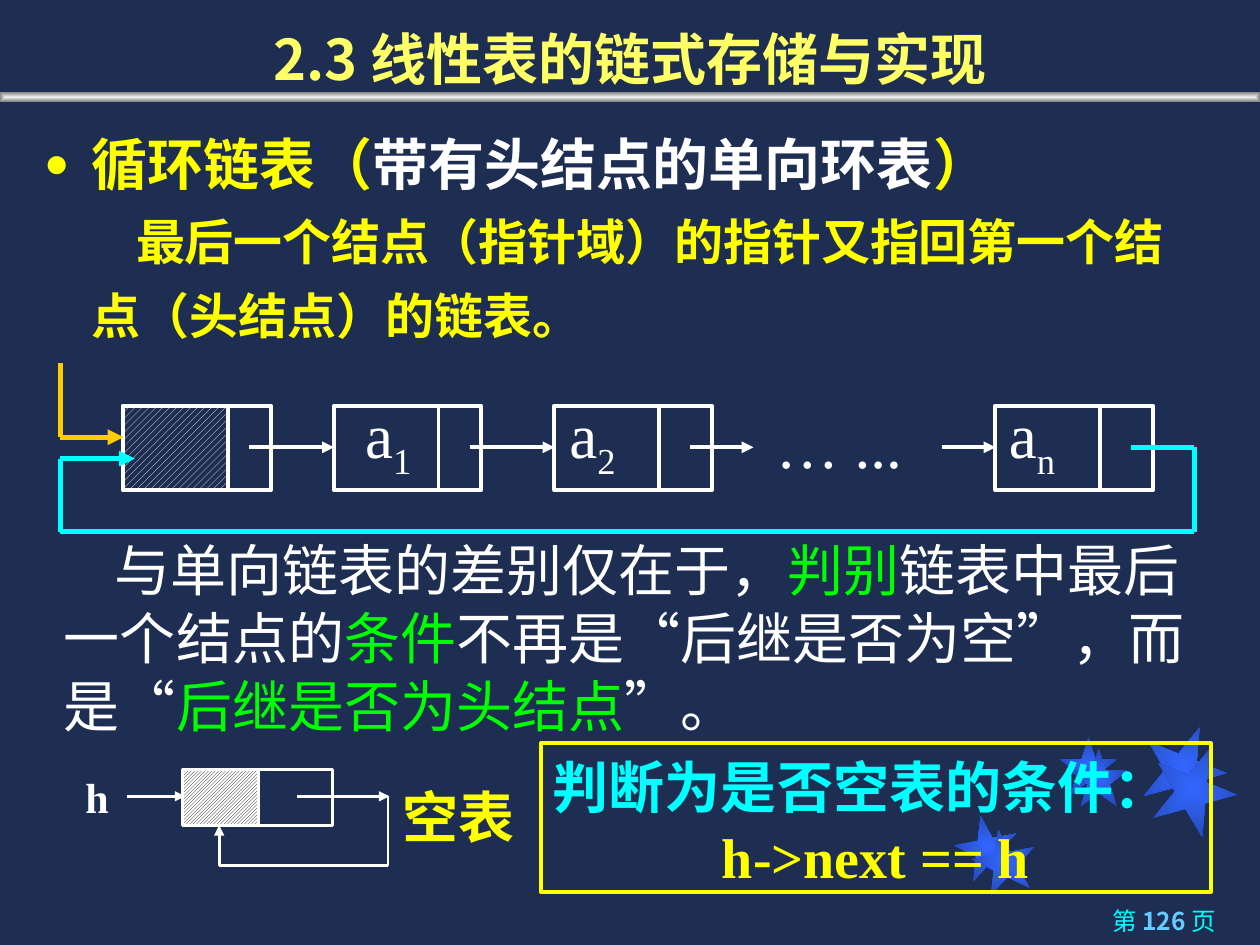
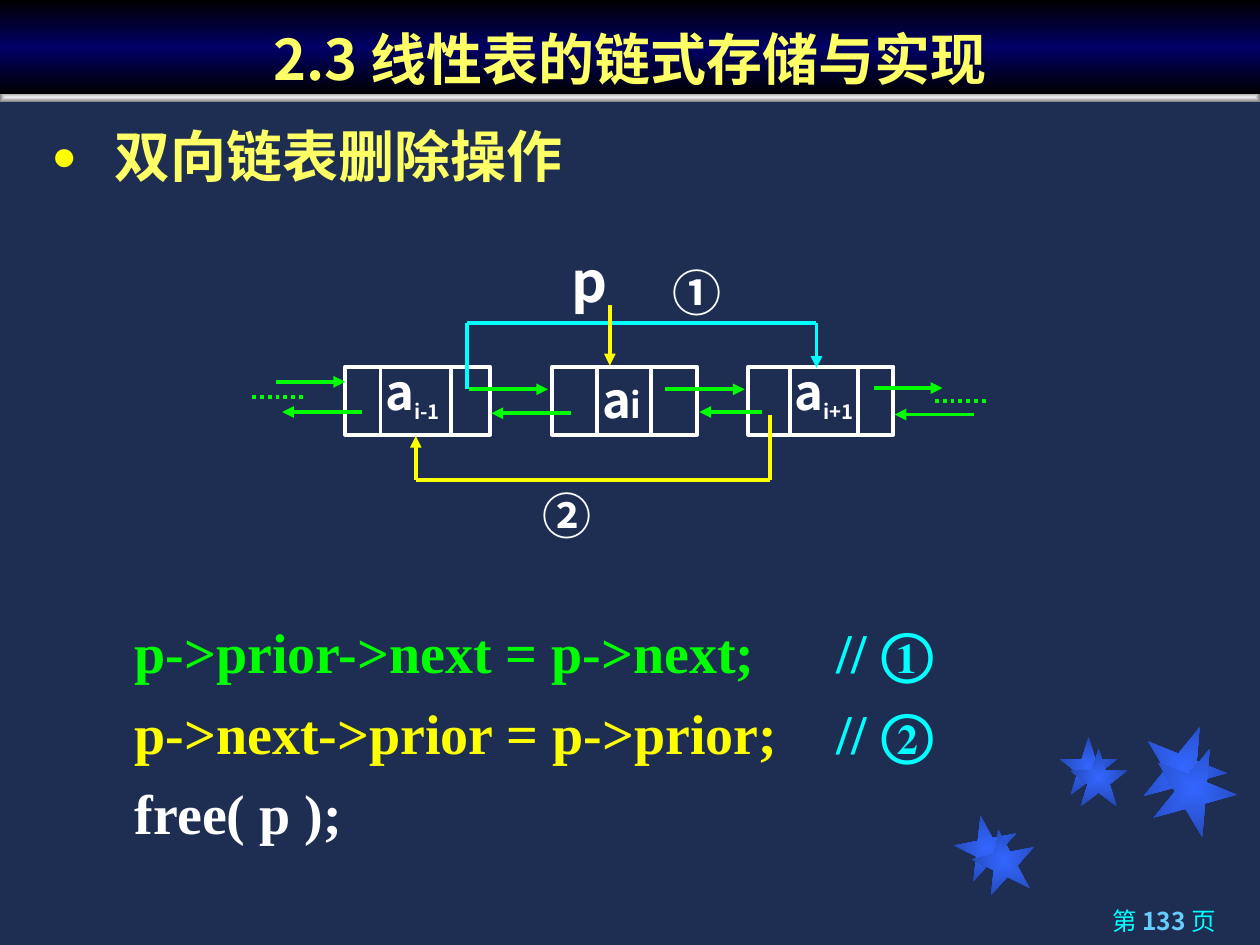
from lxml import etree
from pptx import Presentation
from pptx.dml.color import RGBColor
from pptx.enum.dml import MSO_LINE, MSO_PATTERN
from pptx.enum.shapes import MSO_CONNECTOR, MSO_SHAPE
from pptx.enum.text import MSO_ANCHOR, MSO_AUTO_SIZE, PP_ALIGN
from pptx.oxml import parse_xml
from pptx.oxml.ns import nsdecls, qn
from pptx.util import Inches, Pt

NAVY = RGBColor(0x1E, 0x2E, 0x53)
WHITE = RGBColor(0xFF, 0xFF, 0xFF)
BLACK = RGBColor(0, 0, 0)
YELLOW = RGBColor(0xFF, 0xFF, 0)
CREAM = RGBColor(0xFF, 0xFF, 0x66)
GOLD = RGBColor(0xFF, 0xCC, 0)
CYAN = RGBColor(0, 0xFF, 0xFF)
GREEN = RGBColor(0, 0xFF, 0)
SKY = RGBColor(0x66, 0xCC, 0xFF)
STAR = [(0, RGBColor(0x33, 0x66, 0xFF)), (100, RGBColor(0x24, 0x49, 0xB6))]
STEEL = [(0, RGBColor(0xED, 0xED, 0xED)), (100, RGBColor(0x80, 0x80, 0x80))]
NIGHT = [(0, BLACK), (50, RGBColor(0, 0, 0x66)), (100, BLACK)]

SANS, SERIF, ARIAL = "Noto Sans CJK SC", "Times New Roman", "Arial"
RECT, STAR5 = MSO_SHAPE.RECTANGLE, MSO_SHAPE.STAR_5_POINT
STRAIGHT = MSO_CONNECTOR.STRAIGHT
LEFT, CENTER, RIGHT = PP_ALIGN.LEFT, PP_ALIGN.CENTER, PP_ALIGN.RIGHT
TOP, MIDDLE, BOTTOM = MSO_ANCHOR.TOP, MSO_ANCHOR.MIDDLE, MSO_ANCHOR.BOTTOM
FIXED = MSO_AUTO_SIZE.NONE
WIDE, LIGHT = MSO_PATTERN.WIDE_UPWARD_DIAGONAL, MSO_PATTERN.LIGHT_UPWARD_DIAGONAL
DOTS = MSO_LINE.ROUND_DOT
TITLE = "2.3 线性表的链式存储与实现"


def place(shape, x, y, w, h):
    shape.left, shape.top = Inches(x), Inches(y)
    shape.width, shape.height = Inches(w), Inches(h)


def blend(shape, stops, radial=True):
    """Fill with a gradient, from the centre or from top to bottom."""
    marks = "".join(f'<a:gs pos="{pos * 1000}"><a:srgbClr val="{color}"/></a:gs>'
                    for pos, color in stops)
    way = ('<a:path path="shape"><a:fillToRect l="50000" t="50000" r="50000" '
           'b="50000"/></a:path>' if radial else '<a:lin ang="5400000"/>')
    shape.fill.background()
    props = shape.element.spPr
    props.replace(props.find(qn("a:noFill")), parse_xml(
        f'<a:gradFill {nsdecls("a")}><a:gsLst>{marks}</a:gsLst>{way}</a:gradFill>'))


def write(para, spans, size, font, color=WHITE, bold=False, align=LEFT, lead=None):
    """Fill a paragraph; a span is a text, or a text with a dict of changes."""
    para.alignment = align
    para.line_spacing = Pt(lead or round(size * 1.21))
    para.space_before = Pt(0)
    base = para.font
    base.size, base.name, base.bold = Pt(size), font, bold
    base.color.rgb = color
    for span in spans:
        words, change = (span, {}) if isinstance(span, str) else span
        run = para.add_run()
        run.text = words
        props = run.font
        if "color" in change:
            props.color.rgb = change["color"]
        if "bold" in change:
            props.bold = change["bold"]
        if "size" in change:
            props.size = Pt(change["size"])
        if "base" in change:
            run._r.get_or_add_rPr().set("baseline", str(change["base"] * 1000))
        east = etree.SubElement(run._r.get_or_add_rPr(), qn("a:ea"))
        east.set("typeface", SANS)


def hang(para, left, first, mark=False):
    """Set the indents and the bullet of a paragraph."""
    props = para._p.get_or_add_pPr()
    props.set("marL", str(Inches(left)))
    props.set("indent", str(Inches(first)))
    if mark:
        tint = etree.SubElement(etree.SubElement(props, qn("a:buClr")), qn("a:srgbClr"))
        tint.set("val", str(YELLOW))
        etree.SubElement(props, qn("a:buSzPct")).set("val", "75000")
        etree.SubElement(props, qn("a:buChar")).set("char", "●")
    else:
        etree.SubElement(props, qn("a:buNone"))


def tab(para, at):
    stops = etree.SubElement(para._p.get_or_add_pPr(), qn("a:tabLst"))
    stop = etree.SubElement(stops, qn("a:tab"))
    stop.set("pos", str(Inches(at)))
    stop.set("algn", "l")


def setup(frame, anchor=TOP, wrap=True):
    frame.auto_size = FIXED
    frame.word_wrap = wrap
    frame.vertical_anchor = anchor
    return frame


def text(slide, x, y, w, h, spans, size, font, anchor=TOP, wrap=True, **style):
    area = slide.shapes.add_textbox(Inches(x), Inches(y), Inches(w), Inches(h))
    frame = setup(area.text_frame, anchor, wrap)
    write(frame.paragraphs[0], spans, size, font, **style)
    return frame


def box(slide, x, y, w, h, color=WHITE, width=2.25, hatch=None, fore=WHITE, back=NAVY):
    shape = slide.shapes.add_shape(RECT, Inches(x), Inches(y), Inches(w), Inches(h))
    shape.shadow.inherit = False
    shape.line.color.rgb = color
    shape.line.width = Pt(width)
    if hatch is None:
        shape.fill.background()
    else:
        shape.fill.patterned()
        shape.fill.pattern = hatch
        shape.fill.fore_color.rgb = fore
        shape.fill.back_color.rgb = back
    return shape


def route(slide, points, color=WHITE, width=2.25, arrow=True, dash=None):
    """Join the points by straight lines, with an arrowhead on the last."""
    for (x1, y1), (x2, y2) in zip(points, points[1:]):
        link = slide.shapes.add_connector(
            STRAIGHT, Inches(x1), Inches(y1), Inches(x2), Inches(y2))
        link.line.color.rgb = color
        link.line.width = Pt(width)
        if dash:
            link.line.dash_style = dash
        etree.SubElement(link.element.spPr, qn("a:effectLst"))
    if arrow:
        head = etree.SubElement(link.element.spPr.find(qn("a:ln")), qn("a:tailEnd"))
        head.set("type", "triangle")


def node(slide, x, y, w, h, cuts):
    """Draw a list node, divided at the given offsets."""
    box(slide, x, y, w, h)
    for cut in cuts:
        route(slide, [(x + cut, y), (x + cut, y + h)], arrow=False)


def theme(prs, slide):
    """Give the master its background, stars and band."""
    master = prs.slide_master
    master.background.fill.solid()
    master.background.fill.fore_color.rgb = NAVY
    parts = [(STAR5, 7.58, 6.47, 0.5, 0.5, 349), (STAR5, 8.41, 5.85, 0.46, 0.46, 0),
             (STAR5, 9.06, 5.75, 0.67, 0.67, 22), (STAR5, 7.72, 6.58, 0.5, 0.5, 349),
             (STAR5, 8.49, 5.94, 0.46, 0.46, 0), (STAR5, 9.14, 5.92, 0.67, 0.67, 22),
             (RECT, 0, 0.73, 10, 0.08, 0)]
    for num, (kind, x, y, w, h, turn) in enumerate(parts):
        shape = slide.shapes.add_shape(kind, Inches(x), Inches(y), Inches(w), Inches(h))
        shape.rotation = turn
        shape.shadow.inherit = False
        shape.line.fill.background()
        blend(shape, STAR if kind == STAR5 else STEEL)
        shape.element.nvSpPr.cNvPr.set("id", str(100 + num))
        master.shapes.element.insert(2 + num, shape.element)


def start(prs, page):
    """Add a slide with its title and page number."""
    slide = prs.slides.add_slide(prs.slide_layouts[1])
    title = slide.shapes.title
    place(title, 0, 0, 10, 0.75)
    frame = setup(title.text_frame, BOTTOM)
    frame.margin_bottom = Inches(0.02)
    write(frame.paragraphs[0], [TITLE], 32, SANS, CREAM, True, CENTER)
    text(slide, 7.12, 7.14, 2.63, 0.36,
         ["第 ", (f"{page} ", {"color": SKY, "bold": True}), "页"],
         14, SANS, color=CYAN, align=RIGHT)
    return slide


def body(slide, x, y, w, h):
    holder = slide.placeholders[1]
    place(holder, x, y, w, h)
    return setup(holder.text_frame)


def chain(slide):
    """Draw the circular list with its head node."""
    top, tall, mid = 3.22, 0.67, 3.55
    for x, w in [(0.98, 1.17), (2.65, 1.17), (4.4, 1.25), (7.9, 1.25)]:
        node(slide, x, top, w, tall, [0.83])
    box(slide, 0.98, top, 0.83, tall, hatch=WIDE)
    for x, name, sub in [(2.8, "a", "1"), (4.42, "a", "2"),
                         (6.06, "… ...", ""), (7.91, "a", "n")]:
        spans = [name, (sub, {"base": -25})] if sub else [name]
        text(slide, x, 3.16, 1.2, 0.7, spans, 36, SERIF, wrap=False)
    for x1, x2 in [(1.98, 2.65), (3.73, 4.4), (5.48, 5.98), (7.48, 7.9)]:
        route(slide, [(x1, mid), (x2, mid)])
    route(slide, [(0.48, 2.88), (0.48, 3.47), (0.98, 3.47)], GOLD, 3)
    route(slide, [(8.98, mid), (9.48, mid), (9.48, 4.22), (0.48, 4.22),
                  (0.48, 3.64), (1.07, 3.64)], CYAN, 3)


def empty(slide):
    """Draw the empty list, whose head points to itself."""
    text(slide, 0.51, 6.07, 0.52, 0.5, ["h"], 24, SERIF, MIDDLE, bold=True, align=CENTER)
    box(slide, 2.04, 6.11, 0.6, 0.44, width=1.5)
    box(slide, 1.45, 6.11, 0.6, 0.44, width=1.5, hatch=LIGHT, fore=BLACK, back=WHITE)
    route(slide, [(1.01, 6.32), (1.47, 6.32)], width=1.5)
    route(slide, [(2.36, 6.32), (3.09, 6.32)], width=1.5)
    route(slide, [(3.08, 6.32), (3.08, 6.87), (1.74, 6.87), (1.74, 6.55)], width=1.5)
    text(slide, 3.09, 6.15, 1.1, 0.64, ["空表"], 32, SERIF, MIDDLE, False,
         color=YELLOW, bold=True, align=CENTER)


def circular(slide):
    frame = body(slide, 0.25, 0.82, 9.33, 1.97)
    head, note = frame.paragraphs[0], frame.add_paragraph()
    hang(head, 0.38, -0.38, True)
    write(head, ["循环链表（", ("带有头结点的单向环表", {"color": WHITE}), "）"],
          32, ARIAL, YELLOW, True, lead=50)
    hang(note, 0.38, 0.35)
    write(note, ["最后一个结点（指针域）的指针又指回第一个结点（头结点）的链表。"],
          28, SANS, YELLOW, True, lead=42)
    chain(slide)
    lime = {"color": GREEN}
    frame = text(slide, 0.41, 4.19, 9.34, 1.72,
                 ["与单向链表的差别仅在于，", ("判别", lime), "链表中最后一个结点的",
                  ("条件", lime), "不再是“后继是否为空”，而是“",
                  ("后继是否为头结点", lime), "”。"], 32, SANS)
    frame.paragraphs[0]._p.get_or_add_pPr().set("indent", str(Inches(0.4)))
    empty(slide)
    frame = setup(box(slide, 4.29, 5.9, 5.32, 1.18, YELLOW).text_frame)
    write(frame.paragraphs[0], ["判断为是否空表的条件："], 32, SERIF, CYAN, True, lead=40)
    write(frame.add_paragraph(), ["h->next == h"], 32, SERIF, YELLOW, True, CENTER, 40)


def double(slide):
    """Draw the doubly linked list and the bypass of node p."""
    for x, cuts in [(2.74, (0.28, 0.84)), (4.38, (0.36, 0.79)), (5.94, (0.33, 0.87))]:
        node(slide, x, 2.91, 1.15, 0.54, cuts)
    low = {"size": 20, "base": -25}
    for x, y, sub, change in [(2.96, 2.84, "i-1", low), (4.68, 2.88, "i", {"size": 20}),
                              (6.21, 2.84, "i+1", low)]:
        text(slide, x, y, 0.9, 0.61, ["a", (sub, change)], 28, SANS, wrap=False, bold=True)
    for x1, x2, y in [(2.19, 2.74, 3.03), (3.72, 4.35, 3.09), (4.53, 3.9, 3.28),
                      (5.28, 5.91, 3.09), (6.05, 5.55, 3.27), (6.94, 7.48, 3.08),
                      (7.73, 7.1, 3.29), (2.87, 2.24, 3.27)]:
        route(slide, [(x1, y), (x2, y)], GREEN)
    for x, y in [(2, 3.15), (7.42, 3.18)]:
        route(slide, [(x, y), (x + 0.41, y)], GREEN, arrow=False, dash=DOTS)
    route(slide, [(3.71, 3.09), (3.71, 2.56), (6.48, 2.56), (6.48, 2.92)], CYAN)
    route(slide, [(6.11, 3.29), (6.11, 3.81), (3.3, 3.81), (3.3, 3.46)], YELLOW)
    route(slide, [(4.84, 2.42), (4.84, 2.9)], YELLOW)
    text(slide, 4.44, 1.9, 0.49, 0.64, ["p"], 32, SANS, bold=True)
    for x, y, mark in [(5.24, 2.03, "①"), (4.21, 3.8, "②")]:
        text(slide, x, y, 0.66, 0.61, [mark], 28, SANS, bold=True)


def remove(slide):
    head = body(slide, 0.31, 0.91, 4.4, 0.64).paragraphs[0]
    hang(head, 0.5, -0.5, True)
    write(head, ["双向链表删除操作"], 32, SERIF, CREAM, True)
    double(slide)
    code = [("p->prior->next = p->next;", "// ①", GREEN),
            ("p->next->prior = p->prior;", "// ②", YELLOW), ("free( p );", "", WHITE)]
    area = slide.shapes.add_textbox(Inches(0.97), Inches(4.75), Inches(8.41), Inches(2))
    frame = setup(area.text_frame)
    for num, (line, note, color) in enumerate(code):
        para = frame.add_paragraph() if num else frame.paragraphs[0]
        spans = [line]
        if note:
            tab(para, 5.57)
            spans = [line + "\t", (note, {"color": CYAN})]
        write(para, spans, 32, SERIF, color, True, lead=46)


def main():
    prs = Presentation()
    prs.slide_width, prs.slide_height = Inches(10), Inches(7.5)
    first = start(prs, 126)
    theme(prs, first)
    circular(first)
    second = start(prs, 133)
    blend(second.shapes.title, NIGHT, radial=False)
    remove(second)
    prs.save("out.pptx")


if __name__ == "__main__":
    main()
